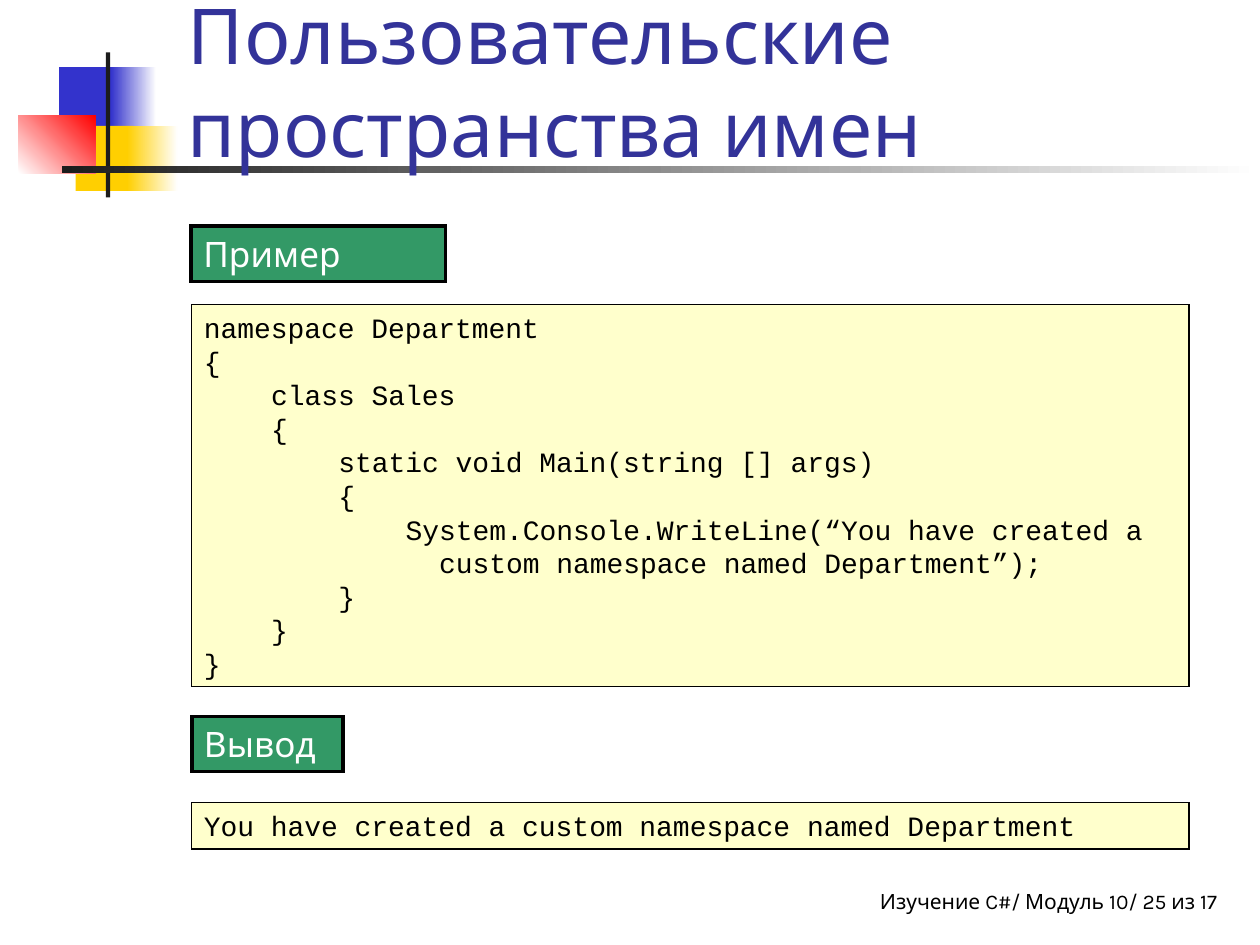
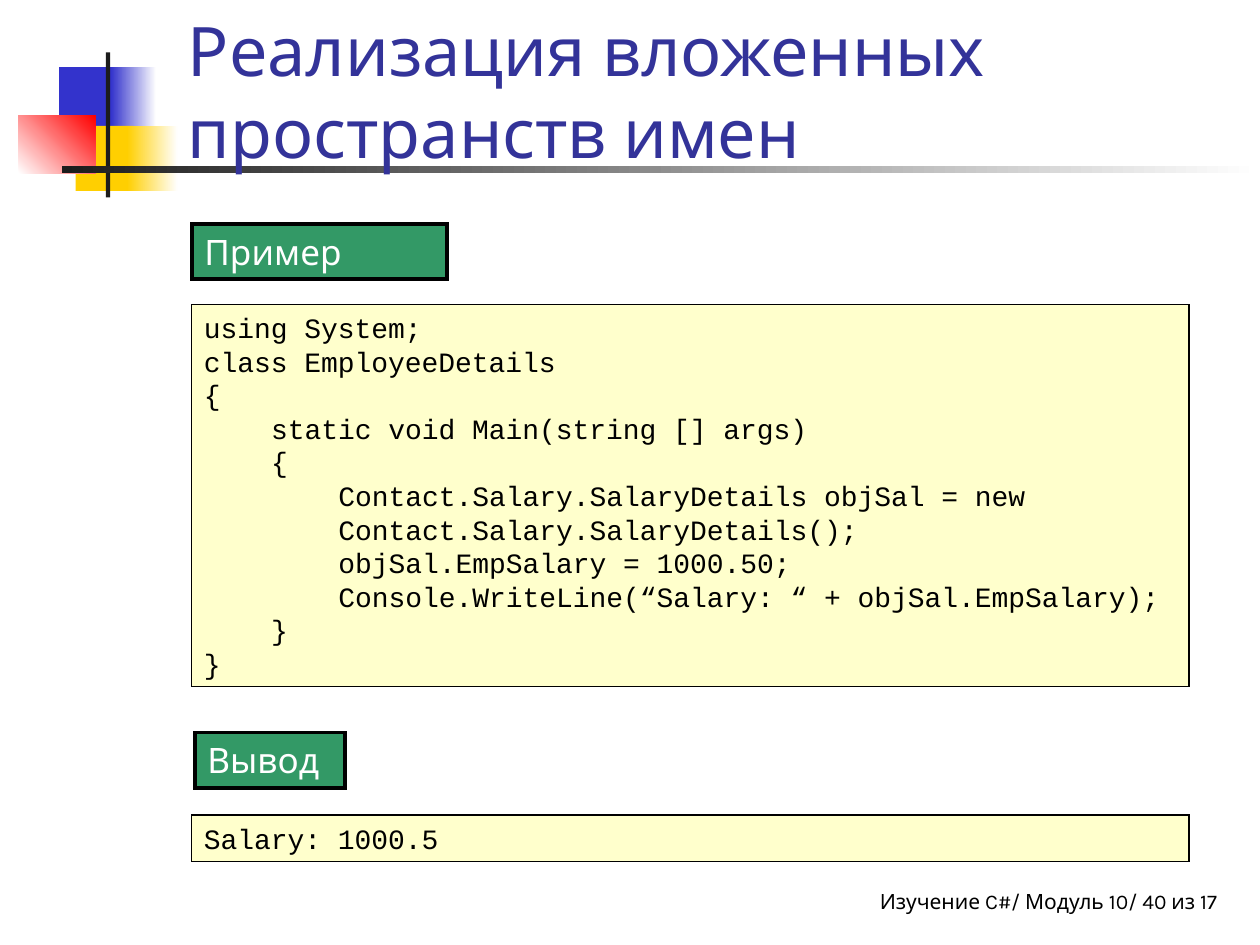
"""Build two slides on C# namespaces, each with a code listing and its output."""
import lxml.etree
import pptx
import pptx.dml.color
import pptx.enum.shapes
import pptx.enum.text
import pptx.oxml.ns
import pptx.util

Pt = pptx.util.Pt
RGBColor = pptx.dml.color.RGBColor
ALIGN = pptx.enum.text.PP_ALIGN
ANCHOR = pptx.enum.text.MSO_ANCHOR

WHITE = RGBColor(0xFF, 0xFF, 0xFF)
BLACK = RGBColor(0x00, 0x00, 0x00)
CHARCOAL = RGBColor(0x1C, 0x1C, 0x1C)
BLUE = RGBColor(0x33, 0x33, 0xCC)
YELLOW = RGBColor(0xFF, 0xCF, 0x01)
RED = RGBColor(0xFF, 0x00, 0x00)
INDIGO = RGBColor(0x33, 0x33, 0x99)
GREEN = RGBColor(0x33, 0x99, 0x66)
CREAM = RGBColor(0xFF, 0xFF, 0xCC)

BODY_FONT = "Karla"
CODE_FONT = "Courier New"
CODE_COLUMN = 9.6
CODE_LEFT, CODE_WIDTH = 109.5, 570

EMBLEM = [
    ((33.8, 38.4, 34.6, 37.2), [BLUE], 0),
    ((63.4, 38.4, 25.9, 37.2), [BLUE, WHITE], 0),
    ((43.2, 72, 33.1, 37.2), [YELLOW], 0),
    ((72.7, 72, 28.8, 37.2), [YELLOW, WHITE], 0),
    ((10.6, 66, 43.9, 33.2), [WHITE, RED], 45),
    ((60.5, 30, 2.4, 82.8), [CHARCOAL], 0),
    ((35.3, 95, 684.7, 4.2), [CHARCOAL, WHITE], 0),
]

LESSONS = [
    {
        "title": "Пользовательские пространства имен",
        "title_size": 44,
        "number": 25,
        "example_at": (109.1, 129.4, 145.5, 31.5),
        "output_at": (109.5, 409.4, 86.4, 31.5),
        "result_top": 458.6,
        "result": "You have created a custom namespace named Department",
        "code": [
            (0, "namespace Department"),
            (0, "{"),
            (4, "class Sales"),
            (4, "{"),
            (8, "static void Main(string [] args)"),
            (8, "{"),
            (12, "System.Console.WriteLine(“You have created a"),
            (14, "custom namespace named Department”);"),
            (8, "}"),
            (4, "}"),
            (0, "}"),
        ],
    },
    {
        "title": "Реализация вложенных пространств имен",
        "title_size": 39,
        "number": 40,
        "example_at": (109.7, 128.2, 145.5, 31.5),
        "output_at": (111.4, 418.6, 85.7, 31.5),
        "result_top": 465.8,
        "result": "Salary: 1000.5",
        "code": [
            (0, "using System;"),
            (0, "class EmployeeDetails"),
            (0, "{"),
            (4, "static void Main(string [] args)"),
            (4, "{"),
            (8, "Contact.Salary.SalaryDetails objSal = new"),
            (8, "Contact.Salary.SalaryDetails();"),
            (8, "objSal.EmpSalary = 1000.50;"),
            (8, "Console.WriteLine(“Salary: “ + objSal.EmpSalary);"),
            (4, "}"),
            (0, "}"),
        ],
    },
]


def write_text(shape, lines, size, color, font=BODY_FONT, align=ALIGN.LEFT,
               anchor=ANCHOR.TOP, right_inset=7.2):
    """Fill a shape with lines given as (indent in code columns, text)."""
    frame = shape.text_frame
    frame.word_wrap = True
    frame.auto_size = pptx.enum.text.MSO_AUTO_SIZE.NONE
    frame.vertical_anchor = anchor
    frame.margin_left, frame.margin_right = Pt(7.2), Pt(right_inset)
    frame.margin_top = frame.margin_bottom = Pt(3.6)
    for index, (column, text) in enumerate(lines):
        paragraph = frame.add_paragraph() if index else frame.paragraphs[0]
        paragraph.alignment = align
        if column:
            properties = paragraph._p.get_or_add_pPr()
            properties.set("marL", str(Pt(column * CODE_COLUMN)))
            properties.set("indent", "0")
        run = paragraph.add_run()
        run.text = text
        run.font.name = font
        run.font.size = Pt(size)
        run.font.color.rgb = color


def add_block(slide, box, colors, angle=0, border=None):
    """Add a rectangle with a solid or two-colour fill and an optional border."""
    block = slide.shapes.add_shape(
        pptx.enum.shapes.MSO_SHAPE.RECTANGLE, *[Pt(length) for length in box])
    block.shadow.inherit = False
    if len(colors) == 1:
        block.fill.solid()
        block.fill.fore_color.rgb = colors[0]
    else:
        block.fill.gradient()
        block.fill.gradient_angle = angle
        for stop, color in zip(block.fill.gradient_stops, colors):
            stop.color.rgb = color
    if border:
        block.line.color.rgb = BLACK
        block.line.width = Pt(border)
        outline = block.line._get_or_add_ln()
        lxml.etree.SubElement(outline, pptx.oxml.ns.qn("a:miter"), lim="800000")
    else:
        block.line.fill.background()
    return block


deck = pptx.Presentation()
deck.slide_width, deck.slide_height = Pt(720), Pt(540)

for lesson in LESSONS:
    slide = deck.slides.add_slide(deck.slide_layouts[5])

    footer = slide.shapes.add_textbox(Pt(329.8), Pt(504), Pt(365.8), Pt(23.8))
    write_text(footer, [(0, f"Изучение C#/ Модуль 10/ {lesson['number']} из 17")],
               size=12, color=BLACK, align=ALIGN.RIGHT, right_inset=0)

    for box, colors, angle in EMBLEM:
        add_block(slide, box, colors, angle)

    title = slide.shapes.title
    title.left, title.top, title.width, title.height = Pt(100.1), Pt(12.2), Pt(613.4), Pt(90)
    write_text(title, [(0, lesson["title"])], size=lesson["title_size"],
               color=INDIGO, anchor=ANCHOR.BOTTOM)
    slide.shapes.element.append(title.element)

    for heading, box in (("Пример", lesson["example_at"]), ("Вывод", lesson["output_at"])):
        label = add_block(slide, box, [GREEN], border=2.25)
        write_text(label, [(0, heading)], size=20, color=WHITE)

    for top, height, lines in ((174, 218.2, lesson["code"]),
                               (lesson["result_top"], 26.6, [(0, lesson["result"])])):
        listing = add_block(slide, (CODE_LEFT, top, CODE_WIDTH, height), [CREAM], border=0.75)
        write_text(listing, lines, size=16, color=BLACK, font=CODE_FONT)

deck.save("out.pptx")
